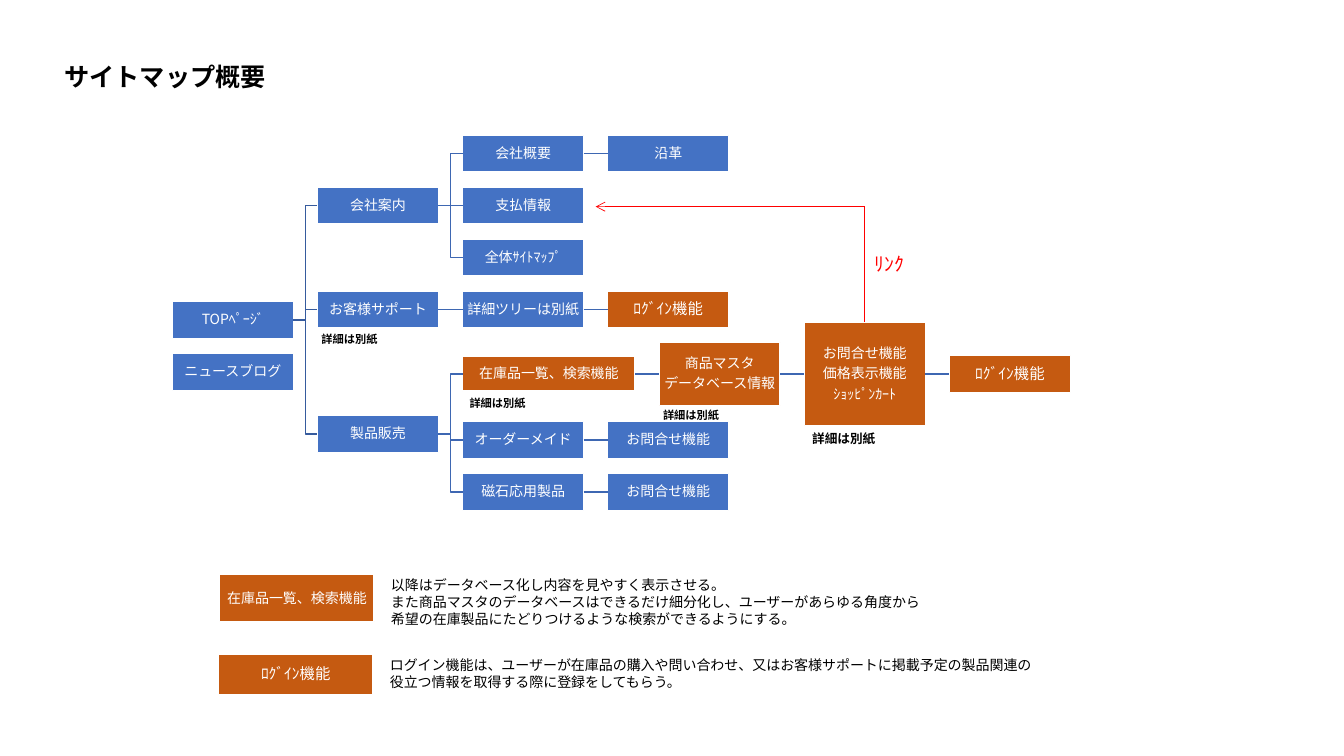
from lxml.etree import SubElement
from pptx import Presentation
from pptx.dml.color import RGBColor
from pptx.enum.shapes import MSO_CONNECTOR as CONN, MSO_SHAPE as SHAPE
from pptx.enum.text import MSO_ANCHOR as ANCHOR, MSO_AUTO_SIZE as AUTO, PP_ALIGN as ALIGN
from pptx.oxml.ns import qn
from pptx.util import Pt

FONT = "Noto Sans CJK JP"
COLORS = {"page": "4472C4", "feature": "C55A11", "trunk": "365B9D", "branch": "3E67B2",
          "link": "FF0000", "text": "000000", "white": "FFFFFF"}
BOX_W, BOX_H, GAP = 86.4, 26.4, 17.28
PITCH = BOX_W + GAP
WIDE_W = 123.12
CHAIN_X = 2 * PITCH + WIDE_W + GAP
LOGIN, CATALOG, SEPARATE = "ﾛｸﾞｲﾝ機能", "在庫品一覧、検索機能", "詳細は別紙"

PAGES = {
    "top": ("TOPﾍﾟｰｼﾞ", 0, 132.1),
    "news": ("ニュースブログ", 0, 169.2),
    "company": ("会社案内", 1, 50.4),
    "support": ("お客様サポート", 1, 124.6),
    "sales": ("製品販売", 1, 213.5),
    "profile": ("会社概要", 2, 13.3),
    "payment": ("支払情報", 2, 50.4),
    "sitemap": ("全体ｻｲﾄﾏｯﾌﾟ", 2, 87.5),
    "detail": ("詳細ツリーは別紙", 2, 124.6),
    "order": ("オーダーメイド", 2, 217.8),
    "magnet": ("磁石応用製品", 2, 254.9),
    "history": ("沿革", 3, 13.3),
    "order_ask": ("お問合せ機能", 3, 217.8),
    "magnet_ask": ("お問合せ機能", 3, 254.9),
}
FEATURES = {
    "support_login": (LOGIN, 3 * PITCH, 124.6, BOX_W, BOX_H, 11),
    "catalog": (CATALOG, 2 * PITCH, 170.6, WIDE_W, 24.5, 10),
    "master": ("商品マスタ\nデータベース情報", CHAIN_X, 170.6, BOX_W, 45.2, 10),
    "cart": ("お問合せ機能\n価格表示機能\nｼｮｯﾋﾟﾝｶｰﾄ", CHAIN_X + PITCH, 170.6, BOX_W, 74, 10),
    "cart_login": (LOGIN, CHAIN_X + 2 * PITCH, 170.6, BOX_W, BOX_H, 11),
}
LINKS = [
    ("top", "company"), ("top", "support"), ("top", "sales"),
    ("company", "profile"), ("company", "payment"), ("company", "sitemap"),
    ("support", "detail"), ("detail", "support_login"), ("profile", "history"),
    ("sales", "catalog"), ("sales", "order"), ("sales", "magnet"),
    ("order", "order_ask"), ("magnet", "magnet_ask"),
    ("catalog", "master"), ("master", "cart"), ("cart", "cart_login"),
]
NOTES = [(99.4, 136.8, 54.7, 17.3, 8), (450, 207.4, 59.8, 18, 9),
         (343.4, 191.5, 54.7, 17.3, 8), (205.2, 182.9, 54.7, 17.3, 8)]
LEGEND = [
    (CATALOG, 10, (157, 410.4, 110.2, 33.8), (272.2, 408.2, 398.2, 43.9),
     "以降はデータベース化し内容を見やすく表示させる。\n"
     "また商品マスタのデータベースはできるだけ細分化し、ユーザーがあらゆる角度から\n"
     "希望の在庫製品にたどりつけるような検索ができるようにする。"),
    (LOGIN, 11, (156.2, 467.3, 110.2, 28.8), (271.4, 465.1, 478.8, 31.7),
     "ログイン機能は、ユーザーが在庫品の購入や問い合わせ、又はお客様サポートに掲載予定の製品関連の\n"
     "役立つ情報を取得する際に登録をしてもらう。"),
]


def rgb(name):
    """Look up a named colour."""
    return RGBColor.from_string(COLORS[name])


def write(tf, text, size, color, leading=1.22, align=ALIGN.LEFT, after=0, bold=False):
    """Fill a text frame with one paragraph per line of text."""
    for i, line in enumerate(text.split("\n")):
        p = tf.paragraphs[0] if i == 0 else tf.add_paragraph()
        p.alignment = align
        p.line_spacing = Pt(round(size * leading, 1))
        p.space_after = Pt(after)
        r = p.add_run()
        r.text = line
        r.font.size = Pt(size)
        r.font.bold = bold
        r.font.color.rgb = rgb(color)
        r.font.name = FONT
        SubElement(r._r.get_or_add_rPr(), qn("a:ea"), typeface=FONT)


def add_label(slide, box, text, size, color="text", bold=False):
    """Add unwrapped text in the given box."""
    tf = slide.shapes.add_textbox(*map(Pt, box)).text_frame
    tf.word_wrap = False
    tf.auto_size = AUTO.SHAPE_TO_FIT_TEXT
    write(tf, text, size, color, bold=bold)


def add_node(slide, box, text, fill, size=10):
    """Add a filled rectangle with centred text."""
    sp = slide.shapes.add_shape(SHAPE.RECTANGLE, *map(Pt, box))
    sp.shadow.inherit = False
    sp.fill.solid()
    sp.fill.fore_color.rgb = rgb(fill)
    sp.line.color.rgb = rgb("white")
    sp.line.width = Pt(1)
    tf = sp.text_frame
    tf.word_wrap = True
    tf.vertical_anchor = ANCHOR.MIDDLE
    tf.margin_left = tf.margin_right = tf.margin_top = tf.margin_bottom = Pt(0.7)
    write(tf, text, size, "white", 1.1, ALIGN.CENTER, size * 0.35)
    return sp


def add_line(slide, kind, color, width, ends=(0, 0, 0, 0)):
    """Add a connector without a shadow."""
    cx = slide.shapes.add_connector(kind, *map(Pt, ends))
    cx.line.color.rgb = rgb(color)
    cx.line.width = Pt(width)
    SubElement(cx._element.spPr, qn("a:effectLst"))
    return cx


def add_payment_link(slide, cart, left, top):
    """Lead a red arrow from the cart to the payment page."""
    x = (cart.left + cart.width / 2) / Pt(1)
    rise = add_line(slide, CONN.STRAIGHT, "link", 0.5, (x, cart.top / Pt(1), x, top))
    rise.begin_connect(cart, 0)
    arrow = add_line(slide, CONN.STRAIGHT, "link", 0.5, (x, top, left, top))
    SubElement(arrow.line._get_or_add_ln(), qn("a:tailEnd"), type="arrow")
    add_label(slide, (x, top + 28.8, 36, 24.5), "ﾘﾝｸ", 14, "link")


def add_sitemap(slide, left, top):
    """Draw the site tree from its top left corner."""
    nodes = {}
    for key, (text, column, middle) in PAGES.items():
        box = (left + column * PITCH, top + middle - BOX_H / 2, BOX_W, BOX_H)
        nodes[key] = add_node(slide, box, text, "page")
    for key, (text, x, middle, w, h, size) in FEATURES.items():
        box = (left + x, top + middle - h / 2, w, h)
        nodes[key] = add_node(slide, box, text, "feature", size)
    for parent, child in LINKS:
        a, b = nodes[parent], nodes[child]
        level = abs(a.top + a.height / 2 - b.top - b.height / 2) < Pt(0.5)
        cx = add_line(slide, CONN.STRAIGHT if level else CONN.ELBOW,
                      "trunk" if parent == "top" else "branch", 1)
        cx.begin_connect(a, 3)
        cx.end_connect(b, 1)
    add_payment_link(slide, nodes["cart"], left + 302.4, top + 51.1)
    for x, y, w, h, size in NOTES:
        add_label(slide, (left + x, top + y, w, h), SEPARATE, size, bold=True)


def add_legend(slide):
    """Explain the main features below the tree."""
    for name, size, node_box, text_box, text in LEGEND:
        add_node(slide, node_box, name, "feature", size)
        add_label(slide, text_box, text, 10)


def main():
    """Build and save the site map slide."""
    prs = Presentation()
    prs.slide_width, prs.slide_height = Pt(960), Pt(540)
    slide = prs.slides.add_slide(prs.slide_layouts[6])
    add_label(slide, (38.9, 39.6, 159.8, 28.8), "サイトマップ概要", 18, bold=True)
    add_sitemap(slide, 123.12, 96.5)
    add_legend(slide)
    prs.save("out.pptx")


if __name__ == "__main__":
    main()
